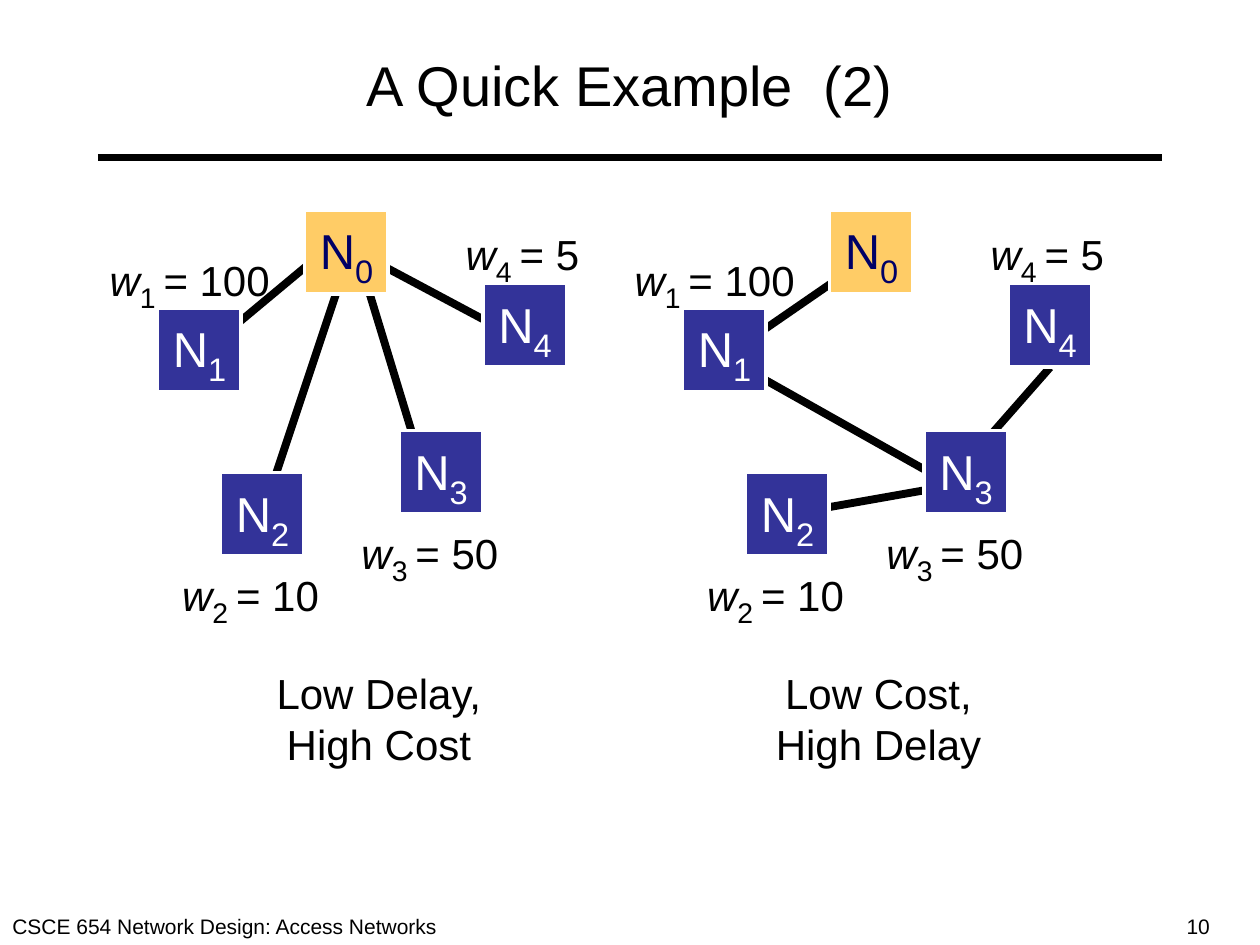
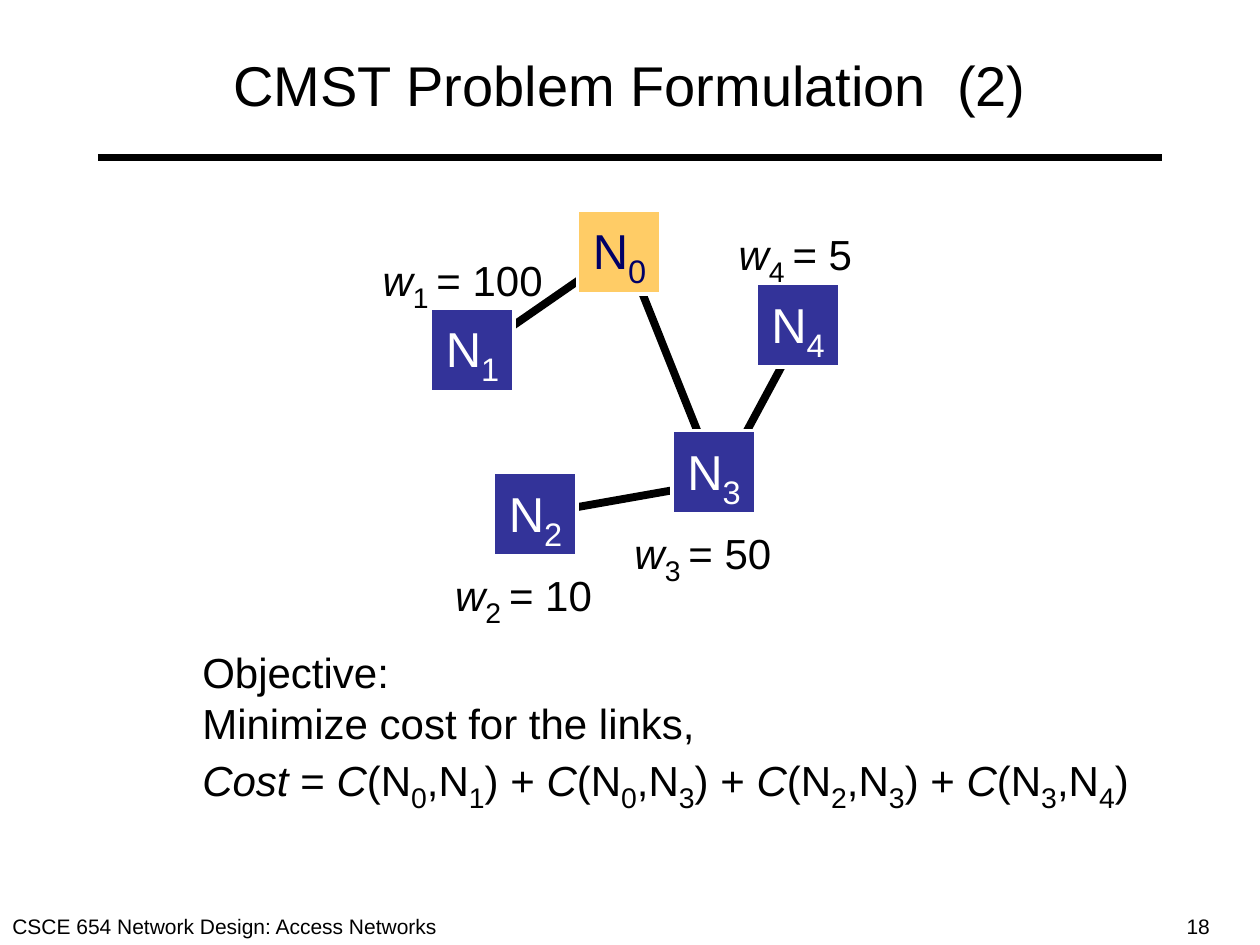
from lxml import etree
from pptx import Presentation
from pptx.dml.color import RGBColor
from pptx.enum.shapes import MSO_CONNECTOR, MSO_SHAPE
from pptx.enum.text import MSO_ANCHOR, PP_ALIGN
from pptx.oxml.ns import qn
from pptx.util import Pt

LEFT, CENTER = PP_ALIGN.LEFT, PP_ALIGN.CENTER
TOP, MIDDLE = MSO_ANCHOR.TOP, MSO_ANCHOR.MIDDLE
STRAIGHT, RECT = MSO_CONNECTOR.STRAIGHT, MSO_SHAPE.RECTANGLE

FONT = "Arial"
BLACK, WHITE, NAVY, BLUE, GOLD = "000000", "FFFFFF", "000066", "333399", "FFCC66"
FOOTER = "CSCE 654 Network Design: Access Networks"
ITALIC, SUB = "italic", "sub"
SIDE = 48  # node width and height

# Places relative to the top left of a network
NODES = [(84, 0), (0, 56), (36, 150), (138, 126), (186, 42)]
WEIGHTS = [  # node, value, left, top, width
    (1, 100, -34.5, 18, 110),
    (2, 10, 7, 198, 97),
    (3, 50, 109.5, 174, 97),
    (4, 5, 169, 3, 84),
]
# Each link is a list of points; more than two make one bent line
STAR = [
    [(108, 30), (60, 174)],
    [(114, 24), (156, 162)],
    [(114, 24), (204, 72)],
    [(30, 78), (102, 18)],
]
CHAIN = [
    [(210, 90), (152, 156), (24, 84), (111, 24)],
    [(162, 156), (60, 174)],
]
TREE = [
    [(162, 156), (60, 174)],
    [(210, 72), (168, 150)],
    [(114, 30), (162, 150)],
    [(108, 24), (30, 78)],
]


def color(code):
    return RGBColor.from_string(code)


def write(frame, lines, size, ink=BLACK, align=LEFT, anchor=TOP, wrap=False, sub=28):
    """Fill a frame; a line is a string or a list of (text, style) runs."""
    frame.word_wrap = wrap
    frame.vertical_anchor = anchor
    for i, line in enumerate(lines):
        para = frame.paragraphs[0] if i == 0 else frame.add_paragraph()
        para.alignment = align
        para.font.name = FONT
        para.font.color.rgb = color(ink)
        if isinstance(line, str):
            para.font.size = Pt(size)
            para.add_run().text = line
            continue
        for text, style in line:
            run = para.add_run()
            run.text = text
            run.font.size = Pt(sub if style == SUB else size)
            if style == ITALIC:
                run.font.italic = True
            elif style == SUB:
                run.font._element.set("baseline", "-25000")


def label(slide, box, lines, size, **look):
    shape = slide.shapes.add_textbox(*map(Pt, box))
    write(shape.text_frame, lines, size, **look)


def stroke(shape):
    shape.line.color.rgb = color(BLACK)
    shape.line.width = Pt(4.5)


def link(slide, left, top, points):
    spots = [(Pt(left + x), Pt(top + y)) for x, y in points]
    if len(spots) == 2:
        line = slide.shapes.add_connector(STRAIGHT, *spots[0], *spots[1])
        etree.SubElement(line._element.spPr, qn("a:effectLst"))
    else:
        bend = slide.shapes.build_freeform(*spots[0])
        bend.add_line_segments(spots[1:], close=False)
        line = bend.convert_to_shape()
        line.fill.background()
        line.shadow.inherit = False
    stroke(line)


def node(slide, left, top, index):
    box = slide.shapes.add_shape(RECT, *map(Pt, (left, top, SIDE, SIDE)))
    box.shadow.inherit = False
    box.fill.solid()
    box.fill.fore_color.rgb = color(BLUE if index else GOLD)
    box.line.color.rgb = color(WHITE)
    box.line.width = Pt(2.25)
    write(box.text_frame, [[("N", ""), (str(index), SUB)]], 28,
          ink=WHITE if index else NAVY, align=CENTER, anchor=MIDDLE, sub=32)


def network(slide, left, top, links):
    for points in links:
        link(slide, left, top, points)
    for index, (x, y) in enumerate(NODES):
        node(slide, left + x, top + y, index)
    for index, value, x, y, width in WEIGHTS:
        text = [("w", ITALIC), (f"{index} ", SUB), (f"= {value}", "")]
        label(slide, (left + x, top + y, width, 45), [text], 24, wrap=True)


def base(deck, title, page):
    """Add a slide with its title, rule and footer."""
    slide = deck.slides.add_slide(deck.slide_layouts[6])
    link(slide, 0, 0, [(56, 90), (664, 90)])
    label(slide, (0, 518.5, 258, 21.5), [FOOTER], 12)
    label(slide, (671, 518.5, 69, 21.5), [str(page)], 12, wrap=True)
    label(slide, (36, 12, 648, 72), [title], 32, align=CENTER, anchor=MIDDLE, wrap=True)
    return slide


def compare(deck):
    slide = base(deck, "A Quick Example  (2)", 10)
    network(slide, 90, 120, STAR)
    label(slide, (150, 378, 133, 65), ["Low Delay,", "High Cost"], 24, align=CENTER)
    network(slide, 390, 120, CHAIN)
    label(slide, (436, 378, 132, 65), ["Low Cost,", "High Delay"], 24, align=CENTER)


def formula(pairs):
    runs = [("Cost ", ITALIC), ("= ", "")]
    for i, (a, b) in enumerate(pairs):
        if i:
            runs.append((") + ", ""))
        runs += [("C", ITALIC), ("(N", ""), (a, SUB), (",N", ""), (b, SUB)]
    return runs + [(")", "")]


def formulate(deck):
    slide = base(deck, "CMST Problem Formulation  (2)", 18)
    network(slide, 246, 120, TREE)
    goal = ["Objective:", "Minimize cost for the links,",
            formula(["01", "03", "23", "34"])]
    label(slide, (108.5, 366, 544, 103), goal, 24)


def main():
    deck = Presentation()
    deck.slide_width, deck.slide_height = Pt(720), Pt(540)
    compare(deck)
    formulate(deck)
    deck.save("out.pptx")


if __name__ == "__main__":
    main()
